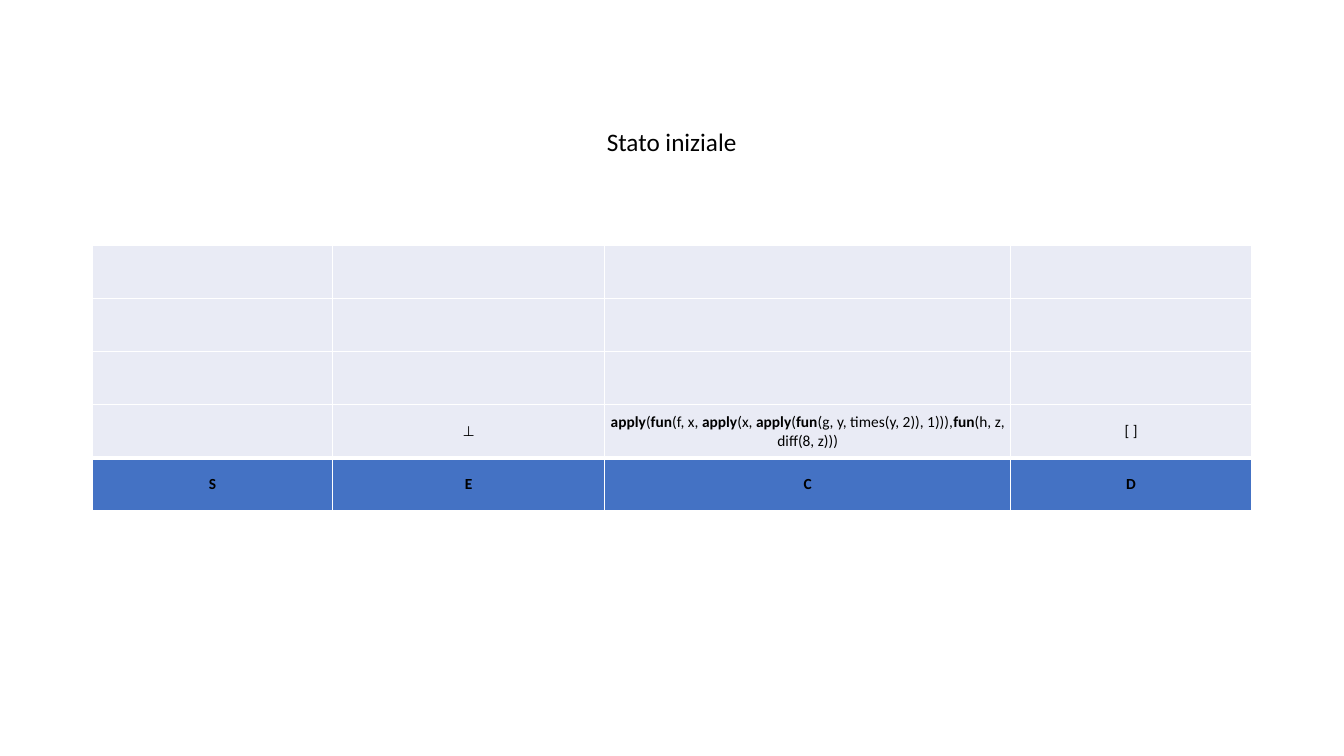
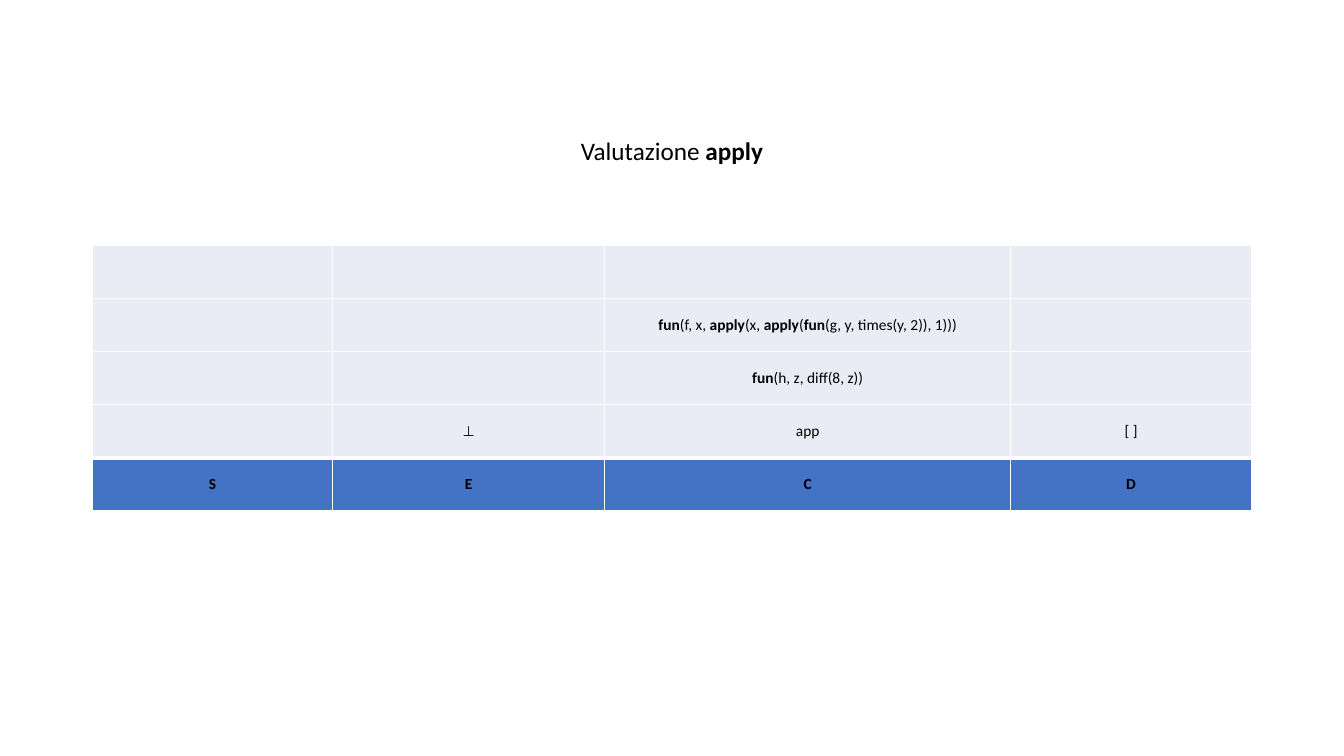
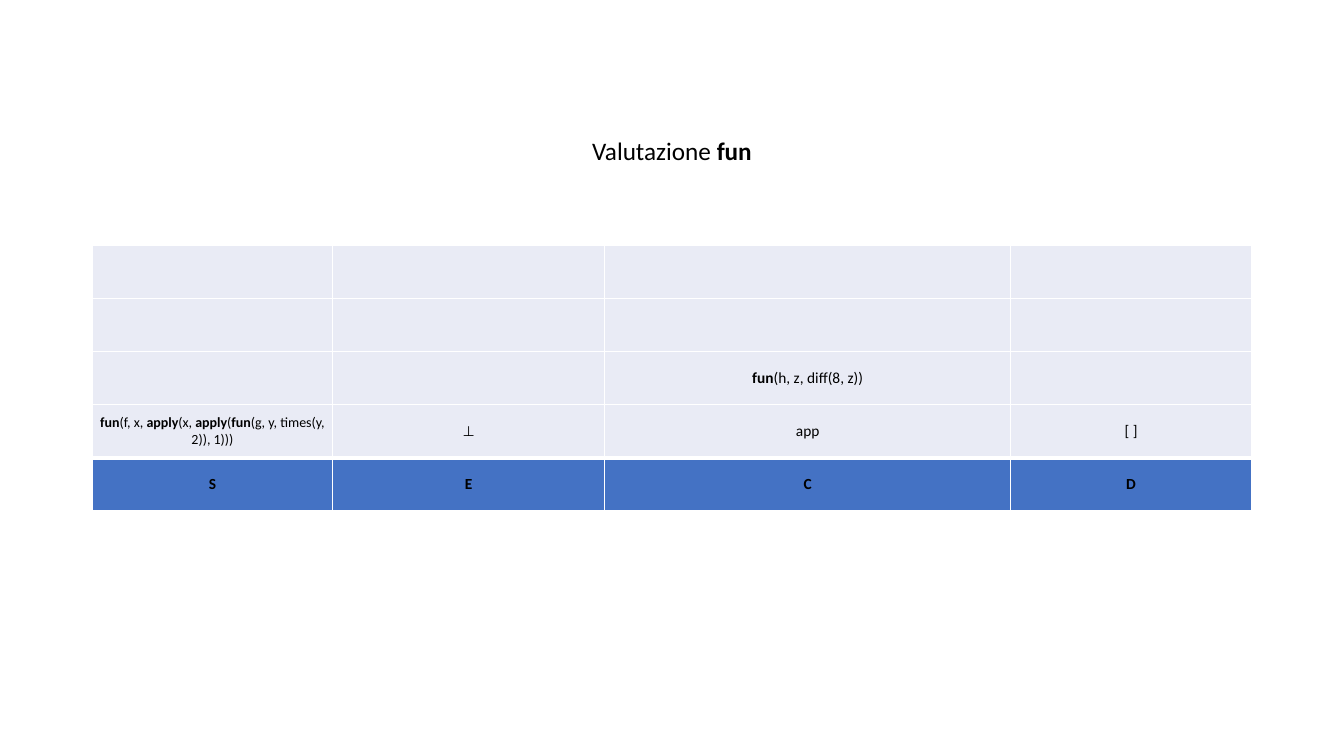
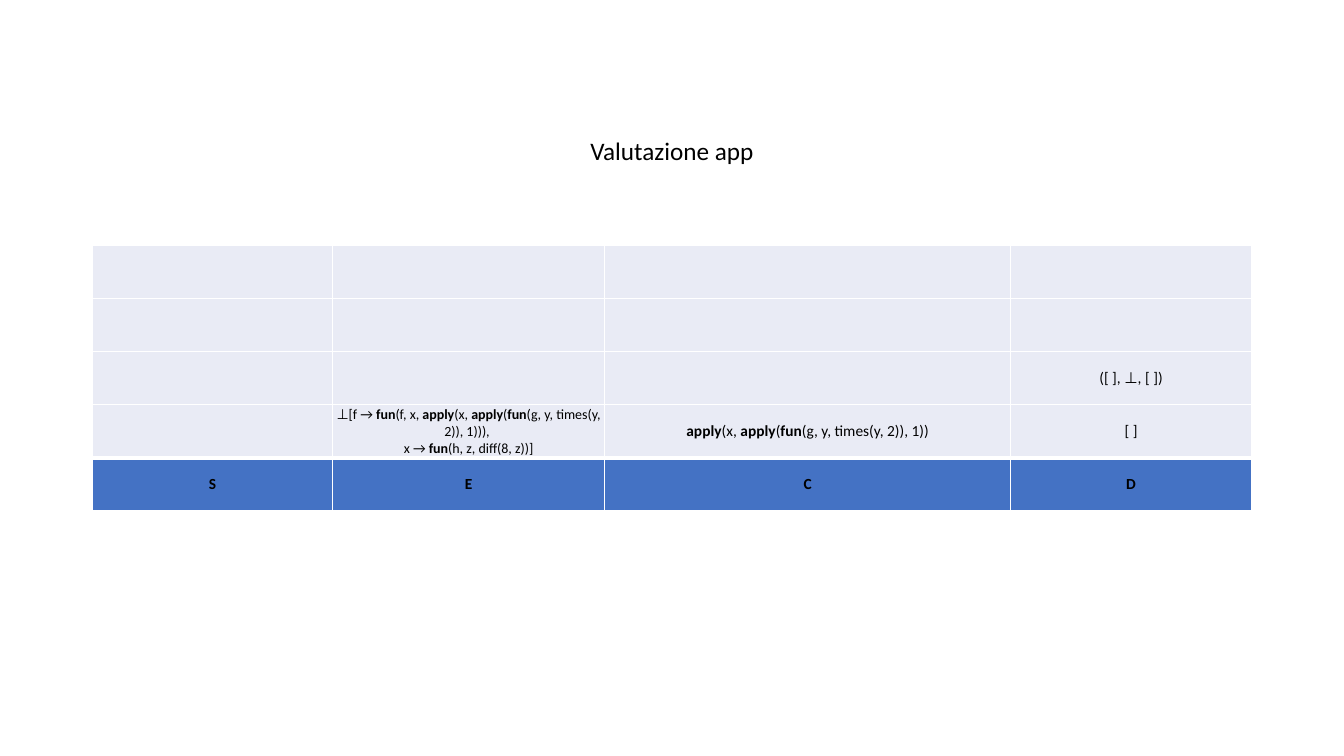
from dataclasses import dataclass

from lxml import etree
from pptx import Presentation
from pptx.dml.color import RGBColor
from pptx.enum.text import MSO_ANCHOR, MSO_AUTO_SIZE, PP_ALIGN
from pptx.oxml.ns import qn
from pptx.util import Emu, Pt

CENTER = PP_ALIGN.CENTER
MIDDLE = MSO_ANCHOR.MIDDLE
GROW = MSO_AUTO_SIZE.SHAPE_TO_FIT_TEXT

EMU_PER_PX = 6350
SLIDE_W, SLIDE_H = 1920, 1080
BLANK_LAYOUT = 6

TITLE_H = 58
TABLE_LEFT, TABLE_TOP = 132, 350
ROW_H = 76
STACK_ROWS = 4
COLUMN_WIDTHS = {"S": 343, "E": 389, "C": 580, "D": 344}


@dataclass(frozen=True)
class Theme:
    font: str = "Calibri"
    text: str = "000000"
    header: str = "4472C4"
    body: str = "E9EBF5"
    border: str = "FFFFFF"
    title_size: int = 18
    cell_size: int = 11
    small_size: int = 10
    thin_line: int = 1
    thick_line: int = 3


def px(length):
    return Emu(length * EMU_PER_PX)


class Deck:
    def __init__(self, theme):
        self.theme = theme
        self.prs = Presentation()
        self.prs.slide_width = px(SLIDE_W)
        self.prs.slide_height = px(SLIDE_H)
        self.slide = None

    def new_slide(self):
        layout = self.prs.slide_layouts[BLANK_LAYOUT]
        self.slide = self.prs.slides.add_slide(layout)

    def add_text(self, frame, text, size, bold=False):
        """Add centred text; parts between asterisks are bold."""
        paragraph = frame.paragraphs[0]
        paragraph.alignment = CENTER
        for part_no, part in enumerate(text.split("*")):
            for line_no, line in enumerate(part.split("\n")):
                if line_no:
                    paragraph.add_line_break()
                if not line:
                    continue
                run = paragraph.add_run()
                run.text = line
                run.font.name = self.theme.font
                run.font.size = Pt(size)
                run.font.bold = bold or part_no % 2 == 1
                run.font.color.rgb = RGBColor.from_string(self.theme.text)

    def title(self, text, top, width):
        left = (SLIDE_W - width) // 2
        box = self.slide.shapes.add_textbox(px(left), px(top), px(width), px(TITLE_H))
        frame = box.text_frame
        frame.word_wrap = True
        frame.auto_size = GROW
        self.add_text(frame, text, self.theme.title_size)

    def borders(self, cell, top, bottom):
        thin = self.theme.thin_line
        properties = cell._tc.get_or_add_tcPr()
        for side, width in (("L", thin), ("R", thin), ("T", top), ("B", bottom)):
            line = etree.SubElement(properties, qn(f"a:ln{side}"), w=str(Pt(width)))
            fill = etree.SubElement(line, qn("a:solidFill"))
            etree.SubElement(fill, qn("a:srgbClr"), val=self.theme.border)

    def cell(self, cell, text, size, is_header, top, bottom):
        cell.vertical_anchor = MIDDLE
        cell.margin_left = cell.margin_right = cell.margin_top = px(1)
        cell.margin_bottom = 0
        self.borders(cell, top, bottom)
        color = self.theme.header if is_header else self.theme.body
        cell.fill.solid()
        cell.fill.fore_color.rgb = RGBColor.from_string(color)
        self.add_text(cell.text_frame, text, size, bold=is_header)

    def stacks(self, contents):
        """Draw the machine's stacks, each listed from the bottom up over its name."""
        theme = self.theme
        rows = STACK_ROWS + 1
        table = self.slide.shapes.add_table(
            rows, len(COLUMN_WIDTHS), px(TABLE_LEFT), px(TABLE_TOP),
            px(sum(COLUMN_WIDTHS.values())), px(rows * ROW_H)).table
        table.first_row = table.horz_banding = False
        for row in table.rows:
            row.height = px(ROW_H)
        for column, (name, width) in enumerate(COLUMN_WIDTHS.items()):
            table.columns[column].width = px(width)
            stack = [name] + contents.get(name, [])
            for level in range(rows):
                is_header = level == 0
                small = name in "SE" and not is_header
                self.cell(
                    table.cell(STACK_ROWS - level, column),
                    stack[level] if level < len(stack) else "",
                    theme.small_size if small else theme.cell_size,
                    is_header,
                    top=theme.thick_line if is_header else theme.thin_line,
                    bottom=theme.thick_line if level == 1 else theme.thin_line)


BODY_F = "*apply*(x, *apply*(*fun*(g, y, times(y, 2)), 1))"
FUN_F = f"*fun*(f, x, {BODY_F})"
FUN_H = "*fun*(h, z, diff(8, z))"

# Title, title top, title width, stacks from the bottom up
STEPS = [
    ("Stato iniziale", 173, 217,
     {"E": ["⊥"], "C": [f"*apply*({FUN_F},{FUN_H})"], "D": ["[ ]"]}),
    ("Valutazione *apply*", 186, 388,
     {"E": ["⊥"], "C": ["app", FUN_H, FUN_F], "D": ["[ ]"]}),
    ("Valutazione *fun*", 186, 388,
     {"S": [FUN_F], "E": ["⊥"], "C": ["app", FUN_H], "D": ["[ ]"]}),
    ("Valutazione app", 186, 388,
     {"E": [f"⊥[f → {FUN_F}, \nx → {FUN_H}]"], "C": [BODY_F],
      "D": ["[ ]", "([ ], ⊥, [ ])"]}),
]


def main():
    deck = Deck(Theme())
    for title, top, width, contents in STEPS:
        deck.new_slide()
        deck.stacks(contents)
        deck.title(title, top, width)
    deck.prs.save("out.pptx")


if __name__ == "__main__":
    main()
